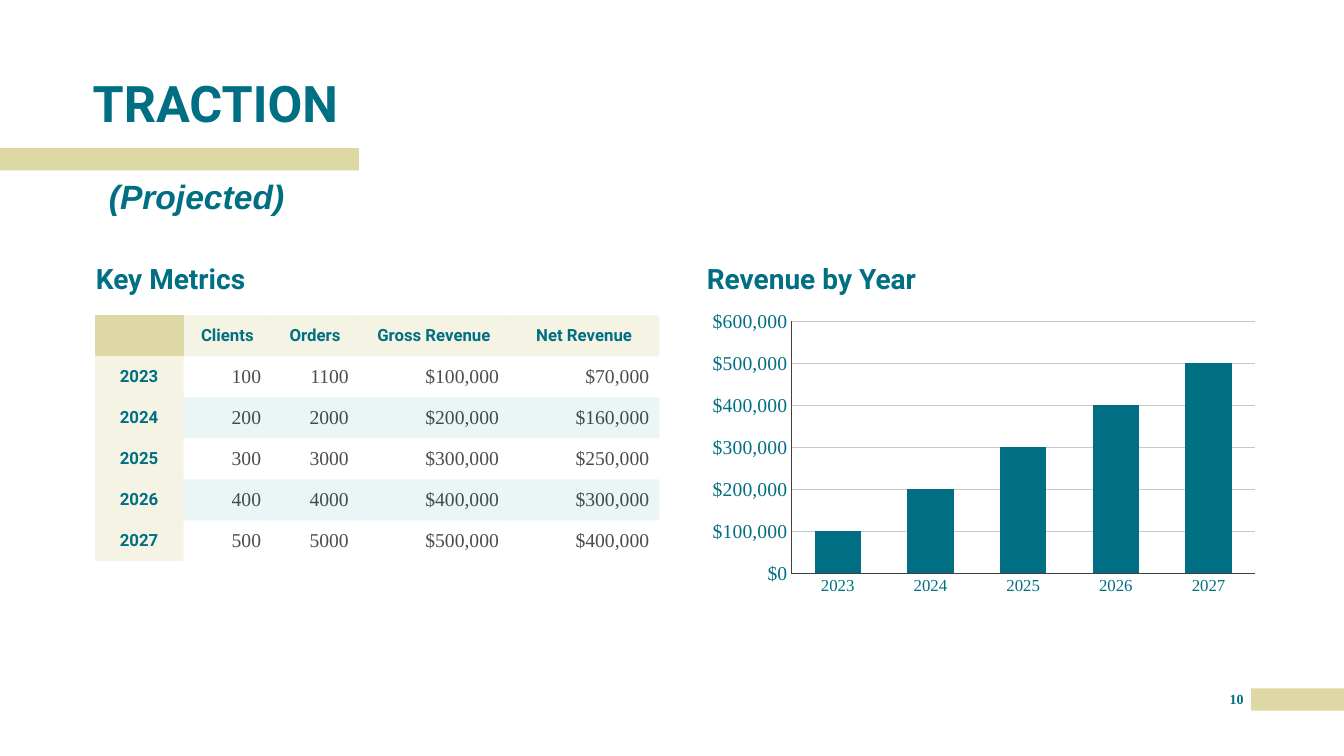
from dataclasses import dataclass

import pptx
import pptx.chart.chart
import pptx.chart.data
import pptx.dml.color
import pptx.dml.fill
import pptx.enum.chart
import pptx.enum.shapes
import pptx.enum.text
import pptx.oxml
import pptx.oxml.ns
import pptx.slide
import pptx.table
import pptx.text.text
import pptx.util
from pptx.util import Inches

ALIGN = pptx.enum.text.PP_ALIGN
ANCHOR = pptx.enum.text.MSO_ANCHOR


@dataclass(frozen=True)
class Theme:
    teal: str = "006F83"
    sand: str = "DED8A4"
    band: str = "32A1A6"
    red: str = "790000"
    olive: str = "969959"
    black: str = "000000"
    axis: str = "404040"
    grid: str = "C8C8C8"
    heading_font: str = "Roboto"
    subtitle_font: str = "Arial"
    body_font: str = "Times New Roman"
    title_size: int = 36
    subtitle_size: int = 24
    heading_size: int = 20
    value_size: int = 14
    label_size: int = 12
    page_size: int = 10


THEME = Theme()


@dataclass(frozen=True)
class Box:
    left: float
    top: float
    width: float
    height: float

    def emu(self) -> list[int]:
        return [Inches(v) for v in (self.left, self.top, self.width, self.height)]


@dataclass(frozen=True)
class Label:
    text: str
    box: Box
    size: int
    font: str = THEME.heading_font
    italic: bool = False
    anchor: ANCHOR = ANCHOR.BOTTOM
    align: ALIGN = ALIGN.LEFT
    line_spacing: float = 0.9
    space_before: int = 0


@dataclass(frozen=True)
class Series:
    name: str
    values: list[int | None]
    color: str


BARS = [Box(0, 1.47, 3.56, 0.22), Box(12.41, 6.83, 0.92, 0.22)]
LABELS = [
    Label("TRACTION", Box(0.92, 0.67, 8.53, 0.65), THEME.title_size),
    Label("(Projected)", Box(1.08, 1.79, 8.53, 0.53), THEME.subtitle_size,
          THEME.subtitle_font, italic=True, anchor=ANCHOR.TOP, space_before=10),
    Label("Key Metrics", Box(0.95, 2.42, 4.81, 0.51), THEME.heading_size, space_before=10),
    Label("Revenue by Year", Box(7.01, 2.42, 5.55, 0.51), THEME.heading_size, space_before=10),
    Label("10", Box(12.12, 6.85, 0.29, 0.25), THEME.page_size, THEME.body_font,
          anchor=ANCHOR.TOP, align=ALIGN.CENTER, line_spacing=1.0),
]
METRICS = [
    ["", "Clients", "Orders", "Gross Revenue", "Net Revenue"],
    ["2023", "100", "1100", "$100,000", "$70,000"],
    ["2024", "200", "2000", "$200,000", "$160,000"],
    ["2025", "300", "3000", "$300,000", "$250,000"],
    ["2026", "400", "4000", "$400,000", "$300,000"],
    ["2027", "500", "5000", "$500,000", "$400,000"],
]
COLUMN_WIDTHS = [0.88, 0.87, 0.87, 1.49, 1.49]
METRICS_BOX = Box(0.94, 3.13, 5.6, 2.44)
YEARS = [row[0] for row in METRICS[1:]]
SERIES = [
    Series("Series 1", [100000, 200000, 300000, 400000, 500000], THEME.teal),
    Series("Series 2", [None] * len(YEARS), THEME.red),
    Series("Series 3", [None] * len(YEARS), THEME.olive),
]
CHART_BOX = Box(6.96, 3.03, 5.6, 2.94)
PLOT_BOX = Box(7.85, 3.19, 4.6, 2.5)
NO_STYLE_NO_GRID = "{2D5ABB26-0587-4C30-8999-92F81FD0307C}"


def fill_solid(fill: pptx.dml.fill.FillFormat, color: str, opacity: int = 100) -> None:
    """Apply a solid fill; opacity is a percentage."""
    fill.solid()
    fill.fore_color.rgb = pptx.dml.color.RGBColor.from_string(color)
    if opacity < 100:
        rgb = fill._xPr.find(".//" + pptx.oxml.ns.qn("a:srgbClr"))
        alpha = rgb.makeelement(pptx.oxml.ns.qn("a:alpha"), {"val": str(opacity * 1000)})
        rgb.append(alpha)


def style_font(font: pptx.text.text.Font, name: str, size: int, color: str = THEME.teal,
               bold: bool = False, italic: bool = False, opacity: int = 100) -> None:
    font.name, font.size = name, pptx.util.Pt(size)
    font.bold, font.italic = bold, italic
    fill_solid(font.fill, color, opacity)


def add_bar(slide: pptx.slide.Slide, box: Box) -> None:
    sp = slide.shapes.add_shape(pptx.enum.shapes.MSO_SHAPE.RECTANGLE, *box.emu())
    sp.shadow.inherit = False
    fill_solid(sp.fill, THEME.sand)
    sp.line.fill.background()


def add_label(slide: pptx.slide.Slide, label: Label) -> None:
    tf = slide.shapes.add_textbox(*label.box.emu()).text_frame
    tf.word_wrap = True
    tf.margin_left = tf.margin_right = tf.margin_top = tf.margin_bottom = 0
    tf.vertical_anchor = label.anchor
    p = tf.paragraphs[0]
    p.text = label.text
    p.alignment = label.align
    p.line_spacing = label.line_spacing
    p.space_before = pptx.util.Pt(label.space_before)
    style_font(p.font, label.font, label.size, bold=True, italic=label.italic)


def style_cell(cell: pptx.table._Cell, row: int, col: int) -> None:
    """Fill and set the type of a cell according to its role in the grid."""
    cell.vertical_anchor = ANCHOR.MIDDLE
    p = cell.text_frame.paragraphs[0]
    if row == 0 or col == 0:
        p.alignment = ALIGN.CENTER
        style_font(p.font, THEME.heading_font, THEME.label_size, bold=True)
        fill_solid(cell.fill, THEME.sand, 100 if row == col else 30)
        return
    p.alignment = ALIGN.RIGHT
    style_font(p.font, THEME.body_font, THEME.value_size, THEME.black, opacity=70)
    if row % 2 == 0:
        fill_solid(cell.fill, THEME.band, 10)
    else:
        cell.fill.background()


def add_metrics(slide: pptx.slide.Slide) -> None:
    table = slide.shapes.add_table(len(METRICS), len(COLUMN_WIDTHS), *METRICS_BOX.emu()).table
    table.first_row = table.horz_banding = False
    table._tbl.tblPr.find(pptx.oxml.ns.qn("a:tableStyleId")).text = NO_STYLE_NO_GRID
    for column, width in zip(table.columns, COLUMN_WIDTHS):
        column.width = Inches(width)
    for r, values in enumerate(METRICS):
        for c, value in enumerate(values):
            cell = table.cell(r, c)
            cell.text = value
            style_cell(cell, r, c)


def place_plot(chart: pptx.chart.chart.Chart) -> None:
    """Pin the inner plot area to PLOT_BOX."""
    area = chart._chartSpace.chart.plotArea
    for old in area.findall(pptx.oxml.ns.qn("c:layout")):
        area.remove(old)
    fractions = {
        "x": (PLOT_BOX.left - CHART_BOX.left) / CHART_BOX.width,
        "y": (PLOT_BOX.top - CHART_BOX.top) / CHART_BOX.height,
        "w": PLOT_BOX.width / CHART_BOX.width,
        "h": PLOT_BOX.height / CHART_BOX.height,
    }
    modes = '<c:layoutTarget val="inner"/><c:xMode val="edge"/><c:yMode val="edge"/>'
    sizes = "".join(f'<c:{k} val="{v:.3f}"/>' for k, v in fractions.items())
    area.insert(0, pptx.oxml.parse_xml(
        f'<c:layout {pptx.oxml.ns.nsdecls("c")}><c:manualLayout>{modes}{sizes}'
        "</c:manualLayout></c:layout>"))


def add_revenue_chart(slide: pptx.slide.Slide) -> None:
    data = pptx.chart.data.CategoryChartData()
    data.categories = YEARS
    for s in SERIES:
        data.add_series(s.name, s.values)
    kind = pptx.enum.chart.XL_CHART_TYPE.COLUMN_CLUSTERED
    chart = slide.shapes.add_chart(kind, *CHART_BOX.emu(), data).chart
    chart.has_legend = chart.has_title = False
    style_font(chart.font, THEME.body_font, THEME.page_size)
    plot = chart.plots[0]
    plot.gap_width = plot.overlap = 100
    plot.vary_by_categories = False
    for drawn, s in zip(plot.series, SERIES):
        fill_solid(drawn.format.fill, s.color)

    years, dollars = chart.category_axis, chart.value_axis
    for axis, size in ((years, THEME.label_size), (dollars, THEME.value_size)):
        axis.major_tick_mark = axis.minor_tick_mark = pptx.enum.chart.XL_TICK_MARK.NONE
        style_font(axis.tick_labels.font, THEME.body_font, size)
        axis.format.line.width = pptx.util.Pt(0.75)
        fill_solid(axis.format.line.fill, THEME.axis)
    dollars.minimum_scale, dollars.maximum_scale, dollars.major_unit = 0, 600000, 100000
    dollars.tick_labels.number_format = "[$$-409]#,##0"
    dollars.tick_labels.number_format_is_linked = False
    grid = dollars.major_gridlines.format.line
    grid.width = pptx.util.Pt(0.75)
    fill_solid(grid.fill, THEME.grid)
    place_plot(chart)


def main() -> None:
    prs = pptx.Presentation()
    prs.slide_width, prs.slide_height = Inches(13.33), Inches(7.5)
    slide = prs.slides.add_slide(prs.slide_layouts[6])
    for bar in BARS:
        add_bar(slide, bar)
    for label in LABELS:
        add_label(slide, label)
    add_metrics(slide)
    add_revenue_chart(slide)
    prs.save("out.pptx")


if __name__ == "__main__":
    main()
